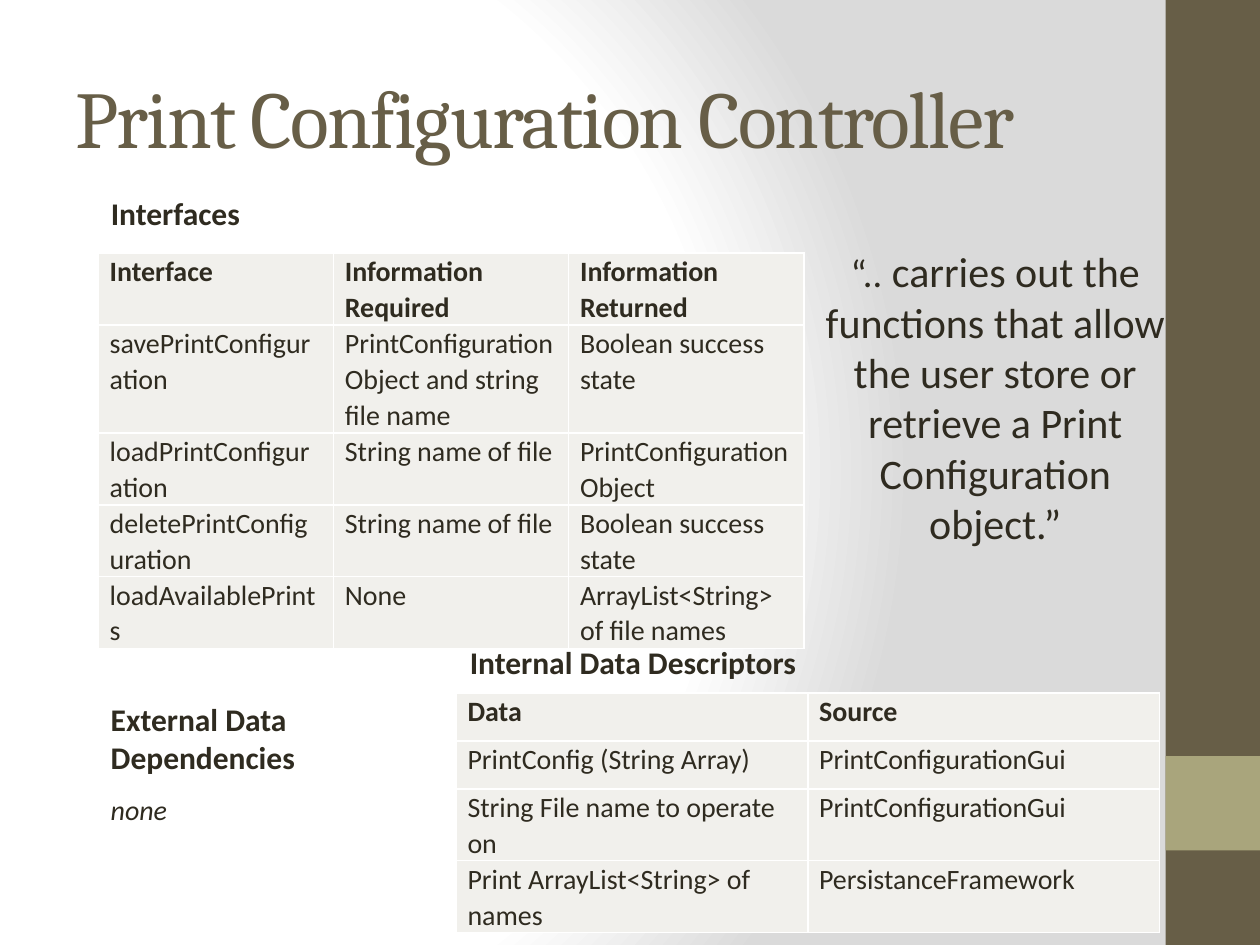
import pptx
import pptx.util
import pptx.dml.color
import pptx.enum.shapes
import pptx.enum.text
import pptx.oxml
import pptx.oxml.ns

Pt = pptx.util.Pt
ALIGN = pptx.enum.text.PP_ALIGN
COLORS = {"brown": "675E47", "olive": "A9A57C", "ink": "2F2B20",
          "cell": "F1F0EC", "white": "FFFFFF", "grey": "DADADA"}
BODY_FONT, TITLE_FONT = "Calibri", "Cambria"
SLIDE_SIZE = (720, 540)

TITLE = ("Print Configuration Controller", (36, 21.6, 600, 90))

# left, top, width, height
SIDE_BARS = [((666, 0, 54, 540), "brown"), ((666, 432, 54, 54), "olive")]

TABLES = [
    {"at": (56.2, 144.7), "width": 403.2, "heights": [27.4, 41, 38.2, 38.2, 38.2],
     "space_after": 8,
     "rows": [
         ("Interface", "Information Required", "Information Returned"),
         ("savePrintConfiguration", "PrintConfiguration Object and string file name",
          "Boolean success state"),
         ("loadPrintConfiguration", "String name of file", "PrintConfiguration Object"),
         ("deletePrintConfiguration", "String name of file", "Boolean success state"),
         ("loadAvailablePrints", "None", "ArrayList<String> of file names"),
     ]},
    {"at": (260.7, 396), "width": 401.8, "heights": [27.4, 27.4, 28, 28],
     "space_after": 0,
     "rows": [
         ("Data", "Source"),
         ("PrintConfig (String Array)", "PrintConfigurationGui"),
         ("String File name to operate on", "PrintConfigurationGui"),
         ("Print ArrayList<String> of names", "PersistanceFramework"),
     ]},
]

# box, alignment, runs of (text, size, bold, italic)
TEXTS = [
    ((56.2, 107.3, 178, 29), ALIGN.LEFT, [("Interfaces", 18, True, False)]),
    ((56.2, 396.7, 184.3, 51), ALIGN.LEFT,
     [("External Data Dependencies", 18, True, False)]),
    ((56.2, 449.3, 148.3, 26.6), ALIGN.LEFT, [("none", 16, False, True)]),
    ((462.2, 136.8, 213.1, 181.4), ALIGN.CENTER,
     [("“..", 22, False, False),
      (" carries out the functions that allow the user store or retrieve a "
       "Print Configuration object.”", 24, False, False)]),
    ((261.4, 363.6, 211.7, 29), ALIGN.LEFT,
     [("Internal Data Descriptors", 18, True, False)]),
]


def rgb(name):
    return pptx.dml.color.RGBColor.from_string(COLORS[name])


def points(values):
    return [Pt(value) for value in values]


def add_run(paragraph, text, size, bold=False, italic=False,
            font=BODY_FONT, color="ink"):
    run = paragraph.add_run()
    run.text = text
    run.font.size, run.font.name = Pt(size), font
    run.font.bold, run.font.italic = bold, italic
    run.font.color.rgb = rgb(color)
    return run


def set_background(slide):
    """Circular gradient, white at the left and grey at the right."""
    slide.background.fill.solid()
    stops = "".join(
        f'<a:gs pos="{pos * 1000}"><a:srgbClr val="{COLORS[color]}"/></a:gs>'
        for pos, color in [(0, "white"), (75, "white"), (100, "grey")])
    gradient = pptx.oxml.parse_xml(
        f'<a:gradFill {pptx.oxml.ns.nsdecls("a")} rotWithShape="1">'
        f'<a:gsLst>{stops}</a:gsLst><a:path path="circle">'
        '<a:fillToRect l="20000" t="50000" r="100000" b="50000"/>'
        '</a:path></a:gradFill>')
    solid = slide.element.xpath(".//p:bgPr/a:solidFill")[0]
    solid.getparent().replace(solid, gradient)


def add_title(slide):
    text, box = TITLE
    title = slide.shapes.title
    title.left, title.top, title.width, title.height = points(box)
    frame = title.text_frame
    frame.vertical_anchor = pptx.enum.text.MSO_ANCHOR.MIDDLE
    frame.paragraphs[0].alignment = ALIGN.LEFT
    run = add_run(frame.paragraphs[0], text, 46, font=TITLE_FONT, color="brown")
    run.font._element.set("spc", "-100")


def add_bar(slide, box, color):
    bar = slide.shapes.add_shape(pptx.enum.shapes.MSO_SHAPE.RECTANGLE, *points(box))
    bar.shadow.inherit = False
    bar.fill.solid()
    bar.fill.fore_color.rgb = rgb(color)
    bar.line.fill.background()


def add_text(slide, box, alignment, runs):
    frame = slide.shapes.add_textbox(*points(box)).text_frame
    frame.word_wrap = True
    frame.auto_size = pptx.enum.text.MSO_AUTO_SIZE.SHAPE_TO_FIT_TEXT
    paragraph = frame.paragraphs[0]
    paragraph.alignment = alignment
    for run in runs:
        add_run(paragraph, *run)


def add_borders(cell):
    properties = cell._tc.get_or_add_tcPr()
    for index, side in enumerate(("lnL", "lnR", "lnT", "lnB")):
        properties.insert(index, pptx.oxml.parse_xml(
            f'<a:{side} {pptx.oxml.ns.nsdecls("a")} w="12700"><a:solidFill>'
            f'<a:srgbClr val="{COLORS["white"]}"/></a:solidFill></a:{side}>'))


def fill_cell(cell, text, header, space_after):
    cell.margin_left = cell.margin_right = Pt(6.5)
    cell.margin_top = cell.margin_bottom = 0
    cell.fill.solid()
    cell.fill.fore_color.rgb = rgb("cell")
    add_borders(cell)
    paragraph = cell.text_frame.paragraphs[0]
    paragraph.alignment = ALIGN.JUSTIFY if header else ALIGN.LEFT
    paragraph.line_spacing = 1.05
    paragraph.space_after = Pt(space_after)
    add_run(paragraph, text, 16, bold=header)


def add_table(slide, content):
    rows, heights = content["rows"], content["heights"]
    column_count = len(rows[0])
    box = (*content["at"], content["width"], sum(heights))
    table = slide.shapes.add_table(len(rows), column_count, *points(box)).table
    table.first_row = table.horz_banding = False
    for column in table.columns:
        column.width = Pt(content["width"] / column_count)
    for r, (texts, height) in enumerate(zip(rows, heights)):
        table.rows[r].height = Pt(height)
        header = r == 0
        for c, text in enumerate(texts):
            fill_cell(table.cell(r, c), text, header,
                      8 if header else content["space_after"])


def main():
    deck = pptx.Presentation()
    deck.slide_width, deck.slide_height = points(SLIDE_SIZE)
    slide = deck.slides.add_slide(deck.slide_layouts.get_by_name("Title Only"))
    set_background(slide)
    for box, color in SIDE_BARS:
        add_bar(slide, box, color)
    add_title(slide)
    for content in TABLES:
        add_table(slide, content)
    for box, alignment, runs in TEXTS:
        add_text(slide, box, alignment, runs)
    deck.save("out.pptx")


if __name__ == "__main__":
    main()
